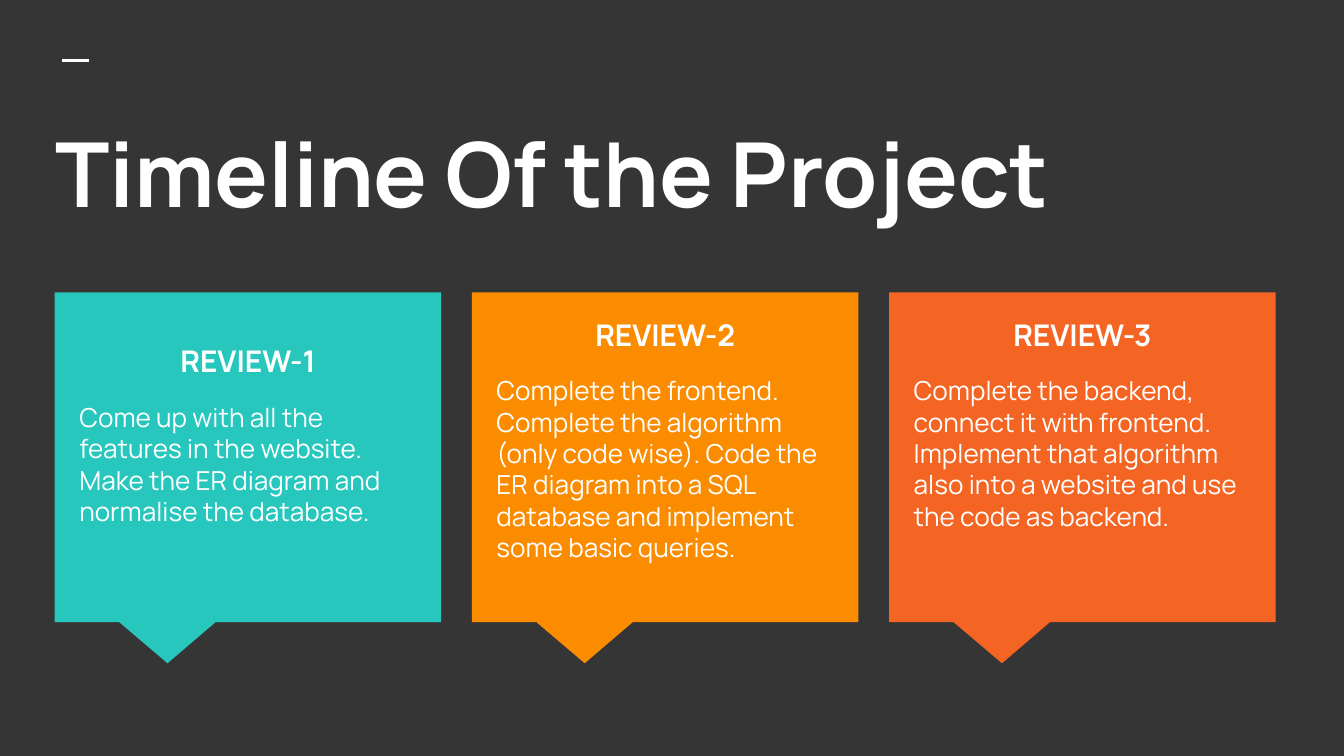
from pptx import Presentation
from pptx.dml.color import RGBColor
from pptx.enum.shapes import MSO_CONNECTOR, MSO_SHAPE
from pptx.enum.text import MSO_ANCHOR, MSO_AUTO_SIZE, PP_ALIGN
from pptx.oxml.ns import qn
from pptx.util import Pt
from lxml import etree

CALLOUT = MSO_SHAPE.RECTANGULAR_CALLOUT
STRAIGHT = MSO_CONNECTOR.STRAIGHT
TOP = MSO_ANCHOR.TOP
LEFT, CENTER = PP_ALIGN.LEFT, PP_ALIGN.CENTER
NO_FIT = MSO_AUTO_SIZE.NONE

FONT = "Manrope"
DARK = RGBColor(0x35, 0x35, 0x35)
WHITE = RGBColor(0xFF, 0xFF, 0xFF)
TEAL = RGBColor(0x27, 0xC7, 0xBD)
AMBER = RGBColor(0xFB, 0x8C, 0x00)
ORANGE = RGBColor(0xF4, 0x65, 0x24)

INSET = 7.2
CARD_LEFT, CARD_TOP = 29.3, 156.7
CARD_WIDTH, CARD_HEIGHT = 207, 176.6
CARD_STEP = 223.5

# Heading, description, card colour, extra space above the text
REVIEWS = [
    ("REVIEW-1",
     "Come up with all the features in the website. "
     "Make the ER diagram and normalise the database.",
     TEAL, 14.2),
    ("REVIEW-2",
     "Complete the frontend. Complete the algorithm (only code wise). "
     "Code the ER diagram into a SQL database and implement some basic queries.",
     AMBER, 0),
    ("REVIEW-3",
     "Complete the backend, connect it with frontend. Implement that algorithm "
     "also into a website and use the code as backend.",
     ORANGE, 0),
]


def write_text(paragraph, text, size, bold=False, align=LEFT, before=0, after=0):
    paragraph.alignment = align
    paragraph.line_spacing = 1.0
    paragraph.space_before = Pt(before)
    paragraph.space_after = Pt(after)
    run = paragraph.add_run()
    run.text = text
    run.font.name = FONT
    run.font.size = Pt(size)
    run.font.bold = bold
    run.font.color.rgb = WHITE


def set_frame(frame, extra_top=0):
    frame.word_wrap = True
    frame.auto_size = NO_FIT
    frame.vertical_anchor = TOP
    frame.margin_left = frame.margin_right = frame.margin_bottom = Pt(INSET)
    frame.margin_top = Pt(INSET + extra_top)


def add_accent(slide):
    accent = slide.shapes.add_connector(STRAIGHT, Pt(33.5), Pt(32.6), Pt(47.9), Pt(32.6))
    accent.line.color.rgb = WHITE
    accent.line.width = Pt(1.5)
    properties = accent.element.find(qn("p:spPr"))
    etree.SubElement(properties, qn("a:effectLst"))


def place_title(slide):
    title = slide.shapes.title
    title.left, title.top = Pt(22.3), Pt(56.2)
    title.width, title.height = Pt(679), Pt(80.6)
    set_frame(title.text_frame)
    write_text(title.text_frame.paragraphs[0], "Timeline Of the Project", size=48, bold=True)


def add_card(slide, left, color):
    card = slide.shapes.add_shape(
        CALLOUT, Pt(left), Pt(CARD_TOP), Pt(CARD_WIDTH), Pt(CARD_HEIGHT))
    card.adjustments[0], card.adjustments[1] = -0.208, 0.625
    card.shadow.inherit = False
    card.fill.solid()
    card.fill.fore_color.rgb = color
    card.line.fill.background()


def add_review(slide, left, heading, description, extra_top):
    review = slide.shapes.add_textbox(Pt(left + 6.1), Pt(162.3), Pt(195), Pt(157.7))
    frame = review.text_frame
    set_frame(frame, extra_top)
    write_text(frame.paragraphs[0], heading, size=16, bold=True, align=CENTER)
    write_text(frame.add_paragraph(), description, size=14, before=12, after=12)


def main():
    deck = Presentation()
    deck.slide_width, deck.slide_height = Pt(720), Pt(405)
    slide = deck.slides.add_slide(deck.slide_layouts[5])
    slide.background.fill.solid()
    slide.background.fill.fore_color.rgb = DARK

    # Header
    add_accent(slide)
    place_title(slide)

    # Review cards
    for index, (heading, description, color, extra_top) in enumerate(REVIEWS):
        left = CARD_LEFT + index * CARD_STEP
        add_card(slide, left, color)
        add_review(slide, left, heading, description, extra_top)

    deck.save("out.pptx")


if __name__ == "__main__":
    main()
